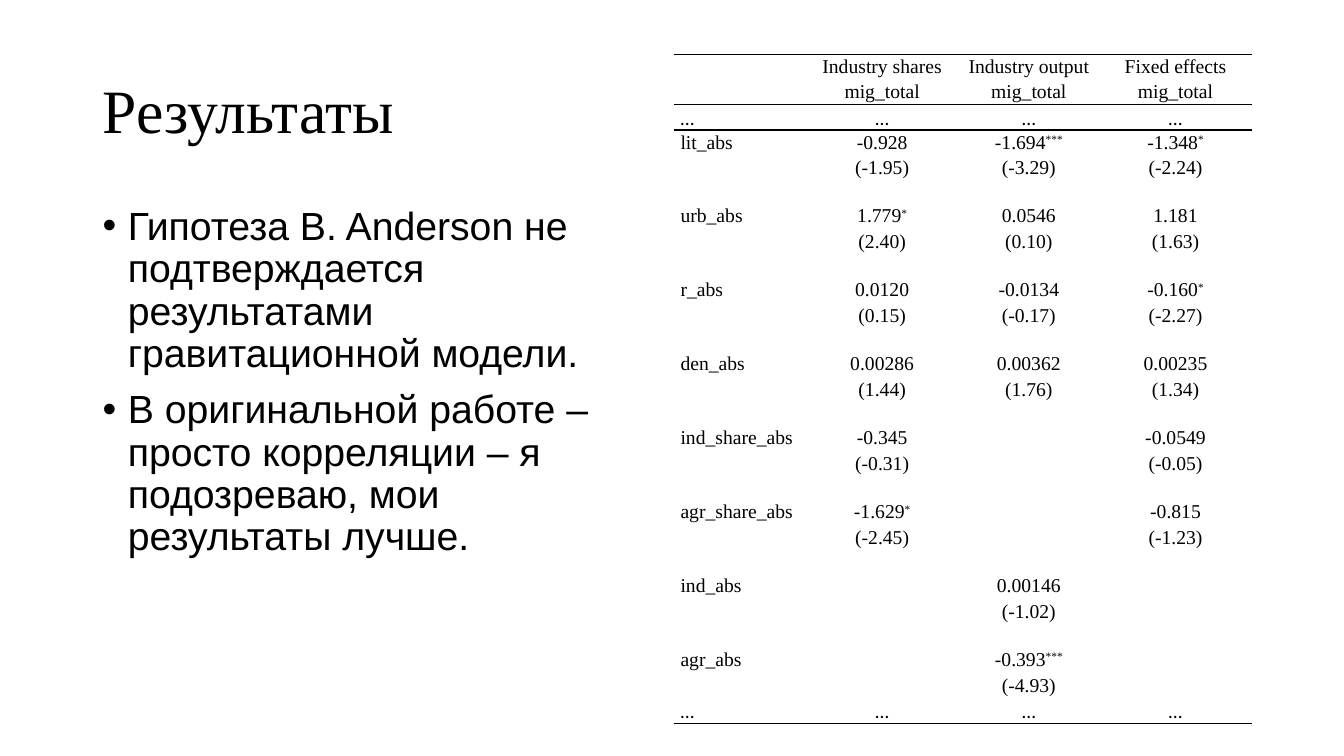
"""Build the results slide: a title, two findings and a regression table."""
from dataclasses import dataclass

from lxml.etree import SubElement as Sub
from pptx import Presentation
from pptx.dml.color import RGBColor as Rgb
from pptx.enum.text import MSO_ANCHOR as Anchor, PP_ALIGN as Align
from pptx.oxml.ns import qn
from pptx.util import Inches, Pt

HUES = {"ink": "000000"}
SERIF, SANS, DOTS = "Times New Roman", "Arial", "Calibri"
PLAIN = "{2D5ABB26-0587-4C30-8999-92F81FD0307C}"
WIDTHS = (1.31, 1.52, 1.39, 1.52)
ROW = 0.23


@dataclass(frozen=True)
class Term:
    name: str
    means: tuple[str, str, str]
    stats: tuple[str, str, str]


@dataclass(frozen=True)
class Block:
    box: tuple[float, float, float, float]
    lines: tuple[str, ...]
    face: str
    size: int
    anchor: Anchor
    listed: bool


HEAD = [
    ("", "Industry shares", "Industry output", "Fixed effects"),
    ("", "mig_total", "mig_total", "mig_total"),
]
REST = ("…",) * 4
TERMS = [
    Term("lit_abs", ("-0.928", "-1.694***", "-1.348*"), ("(-1.95)", "(-3.29)", "(-2.24)")),
    Term("urb_abs", ("1.779*", "0.0546", "1.181"), ("(2.40)", "(0.10)", "(1.63)")),
    Term("r_abs", ("0.0120", "-0.0134", "-0.160*"), ("(0.15)", "(-0.17)", "(-2.27)")),
    Term("den_abs", ("0.00286", "0.00362", "0.00235"), ("(1.44)", "(1.76)", "(1.34)")),
    Term("ind_share_abs", ("-0.345", "", "-0.0549"), ("(-0.31)", "", "(-0.05)")),
    Term("agr_share_abs", ("-1.629*", "", "-0.815"), ("(-2.45)", "", "(-1.23)")),
    Term("ind_abs", ("", "0.00146", ""), ("", "(-1.02)", "")),
    Term("agr_abs", ("", "-0.393***", ""), ("", "(-4.93)", "")),
]
BLOCKS = [
    Block((0.92, 0.4, 11.5, 1.45), ("Результаты",), SERIF, 44, Anchor.MIDDLE, False),
    Block((0.92, 2, 5.3, 4.76), (
        "Гипотеза B. Anderson не подтверждается результатами гравитационной модели.",
        "В оригинальной работе – просто корреляции – я подозреваю, мои результаты лучше.",
    ), SANS, 28, Anchor.TOP, True),
]


def add_run(par, text: str, face: str, size: int):
    run = par.add_run()
    run.text = text
    run.font.name = face
    run.font.size = Pt(size)
    run.font.color.rgb = Rgb.from_string(HUES["ink"])
    return run


def add_bullet(par) -> None:
    props = par._p.get_or_add_pPr()
    props.set("marL", str(Inches(0.25)))
    props.set("indent", str(Inches(-0.25)))
    Sub(props, qn("a:buFont"), typeface=SANS)
    Sub(props, qn("a:buChar"), char="•")


def add_block(slide, block: Block) -> None:
    frame = slide.shapes.add_textbox(*map(Inches, block.box)).text_frame
    frame.word_wrap = True
    frame.vertical_anchor = block.anchor
    for i, line in enumerate(block.lines):
        par = frame.add_paragraph() if i else frame.paragraphs[0]
        par.line_spacing = 0.9
        if block.listed:
            par.space_before = Pt(10)
            add_bullet(par)
        add_run(par, line, block.face, block.size)


def add_rule(cell, side: str) -> None:
    line = Sub(cell._tc.get_or_add_tcPr(), qn(f"a:ln{side}"), w=str(Pt(1)))
    fill = Sub(line, qn("a:solidFill"))
    Sub(fill, qn("a:srgbClr"), val=HUES["ink"])


def fill_cell(cell, text: str, align: Align) -> None:
    cell.margin_left = cell.margin_right = Inches(0.07)
    cell.margin_top = cell.margin_bottom = 0
    cell.fill.background()
    par = cell.text_frame.paragraphs[0]
    par.alignment = align
    par.line_spacing = 1.07
    par.space_after = Pt(8)
    base = text.rstrip("*")
    stars = text[len(base):]
    if base:
        add_run(par, base, DOTS if base == "…" else SERIF, 14)
    else:
        Sub(par._p, qn("a:endParaRPr"), sz="1400")
    if stars:
        run = add_run(par, stars, SERIF, 14)
        run.font._element.set("baseline", "30000")


def list_rows() -> list[tuple[str, ...]]:
    rows = [*HEAD, REST]
    for i, term in enumerate(TERMS):
        if i:
            rows.append(("",) * 4)
        rows += [(term.name, *term.means), ("", *term.stats)]
    return [*rows, REST]


def add_grid(slide) -> None:
    rows = list_rows()
    size = (sum(WIDTHS), ROW * len(rows))
    grid = slide.shapes.add_table(
        len(rows), len(WIDTHS), *map(Inches, (6.68, 0.54, *size))).table
    grid.first_row = grid.horz_banding = False
    grid._tbl.tblPr.find(qn("a:tableStyleId")).text = PLAIN
    for col, width in zip(grid.columns, WIDTHS):
        col.width = Inches(width)
    rules = {0: "T", 1: "B", 2: "T", len(rows) - 1: "B"}
    for r, row in enumerate(rows):
        grid.rows[r].height = Inches(ROW)
        for c, text in enumerate(row):
            cell = grid.cell(r, c)
            if r in rules:
                add_rule(cell, rules[r])
            fill_cell(cell, text, Align.CENTER if c else Align.LEFT)


def main() -> None:
    deck = Presentation()
    deck.slide_width, deck.slide_height = Inches(13.33), Inches(7.5)
    slide = deck.slides.add_slide(deck.slide_layouts[6])
    for block in BLOCKS:
        add_block(slide, block)
    add_grid(slide)
    deck.save("out.pptx")


if __name__ == "__main__":
    main()
